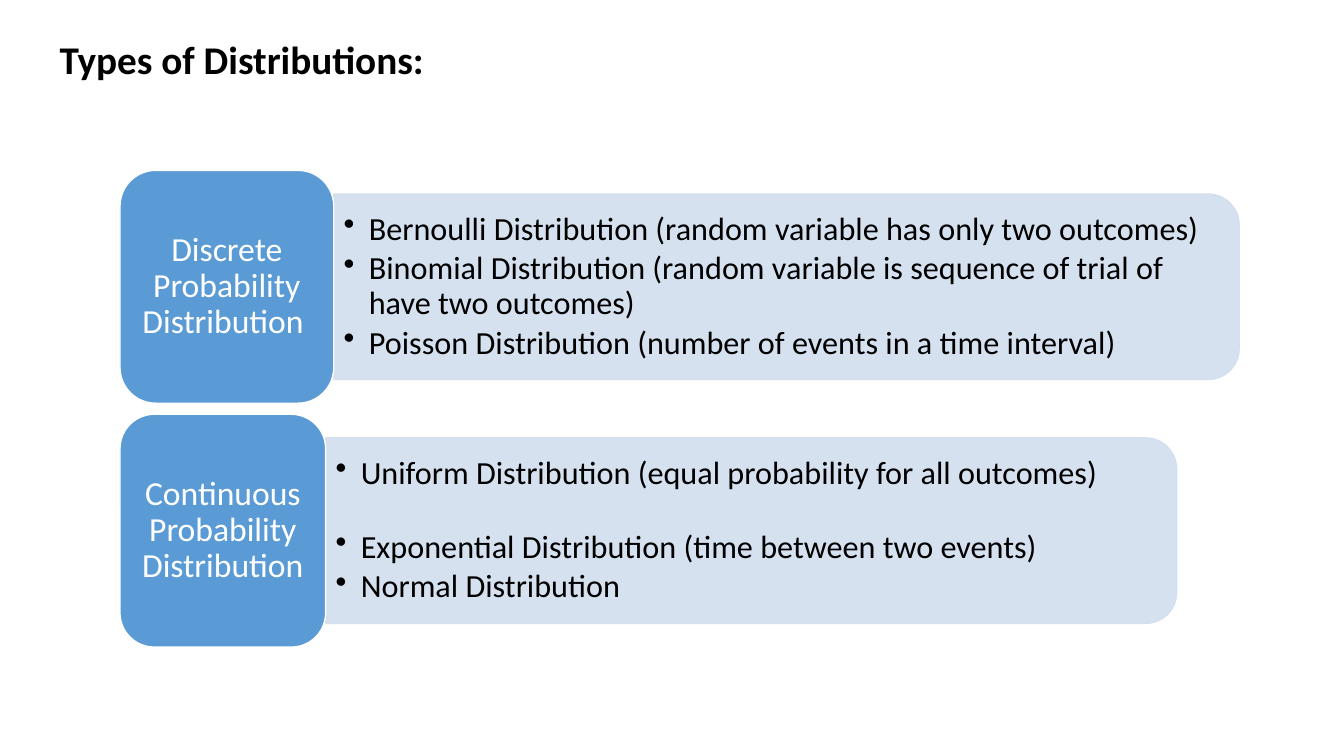
"""Builds a slide that lists discrete and continuous distributions."""
from pptx import Presentation, util as u
from pptx.dml import color
from pptx.enum import shapes, text
from pptx.oxml import ns, xmlchemy as x

FORM = shapes.MSO_SHAPE
MID = text.MSO_ANCHOR.MIDDLE


def tint(code):
    return color.RGBColor.from_string(code)


class Deck:
    font = "Calibri"
    black, white, blue, pale = "000000", "FFFFFF", "5B9BD5", "D2DEEF"
    left, high, band = 1.19, 2.31, 1.84

    def __init__(self):
        self.file = Presentation()
        self.file.slide_width = u.Inches(13.33)
        self.file.slide_height = u.Inches(7.5)
        self.slide = self.file.slides.add_slide(self.file.slide_layouts[5])

    def place(self, *box):
        return [u.Inches(n) for n in box]

    def style(self, para, size, code, align, after=0, bold=False):
        para.alignment = align
        para.line_spacing = 0.9
        para.space_after = u.Pt(after)
        for run in para.runs:
            font = run.font
            font.name, font.size, font.bold = self.font, u.Pt(size), bold
            font.color.rgb = tint(code)

    def title(self, words, *box):
        head = self.slide.shapes.title
        head.left, head.top, head.width, head.height = self.place(*box)
        frame = head.text_frame
        frame.text = words
        frame.vertical_anchor = MID
        self.style(frame.paragraphs[0], 28, self.black, text.PP_ALIGN.LEFT, bold=True)

    def shape(self, form, fill, line, *box):
        item = self.slide.shapes.add_shape(form, *self.place(*box))
        item.shadow.inherit = False
        item.fill.solid()
        item.fill.fore_color.rgb = tint(fill)
        item.line.color.rgb = tint(line)
        item.line.width = u.Pt(1)
        return item

    def panel(self, left, mid, wide):
        across = left + wide / 2
        item = self.shape(FORM.ROUND_2_SAME_RECTANGLE, self.pale, self.pale,
                          across - self.band / 2, mid - wide / 2, self.band, wide)
        item.rotation = 90
        for code in item.element.spPr.iter(ns.qn("a:srgbClr")):
            alpha = x.OxmlElement("a:alpha")
            alpha.set("val", "90000")
            code.append(alpha)

    def points(self, lines, *box):
        frame = self.slide.shapes.add_textbox(*self.place(*box)).text_frame
        frame.word_wrap = True
        frame.vertical_anchor = MID
        frame.text = "\n".join(words for words, _ in lines)
        for para, (_, after) in zip(frame.paragraphs, lines):
            para.level = 1
            self.style(para, 23, self.black, text.PP_ALIGN.LEFT, after)
            props = para._p.get_or_add_pPr()
            props.set("marL", str(u.Inches(0.25)))
            props.set("indent", str(u.Inches(-0.25)))
            mark = x.OxmlElement("a:buChar")
            mark.set("char", "•")
            props.append(mark)

    def label(self, words, *box):
        item = self.shape(FORM.ROUNDED_RECTANGLE, self.blue, self.white, *box)
        frame = item.text_frame
        frame.word_wrap = True
        frame.vertical_anchor = MID
        frame.text = words
        self.style(frame.paragraphs[0], 24, self.white, text.PP_ALIGN.CENTER)

    def row(self, name, lines, top, wide, span):
        start, mid = self.left + wide, top + self.high / 2
        self.panel(start, mid, span)
        self.points(lines, start, mid - 0.83, span - 0.09, 1.66)
        self.label(name, self.left, top, wide, self.high)


def main():
    near, far = 3.4, 28
    deck = Deck()
    deck.title("Types of Distributions:", 0.49, 0.27, 11.92, 0.69)
    deck.row("Discrete Probability Distribution ", [
        ("Bernoulli Distribution (random variable has only two outcomes)", near),
        ("Binomial Distribution (random variable is sequence of trial of have two outcomes)", near),
        ("Poisson Distribution (number of events in a time interval)", near),
    ], 1.69, 2.12, 8.98)
    deck.row("Continuous Probability Distribution", [
        ("Uniform Distribution (equal probability for all outcomes)", far),
        ("Exponential Distribution (time between two events)", near),
        ("Normal Distribution", near),
    ], 4.11, 2.04, 8.44)
    deck.file.save("out.pptx")


if __name__ == "__main__":
    main()
